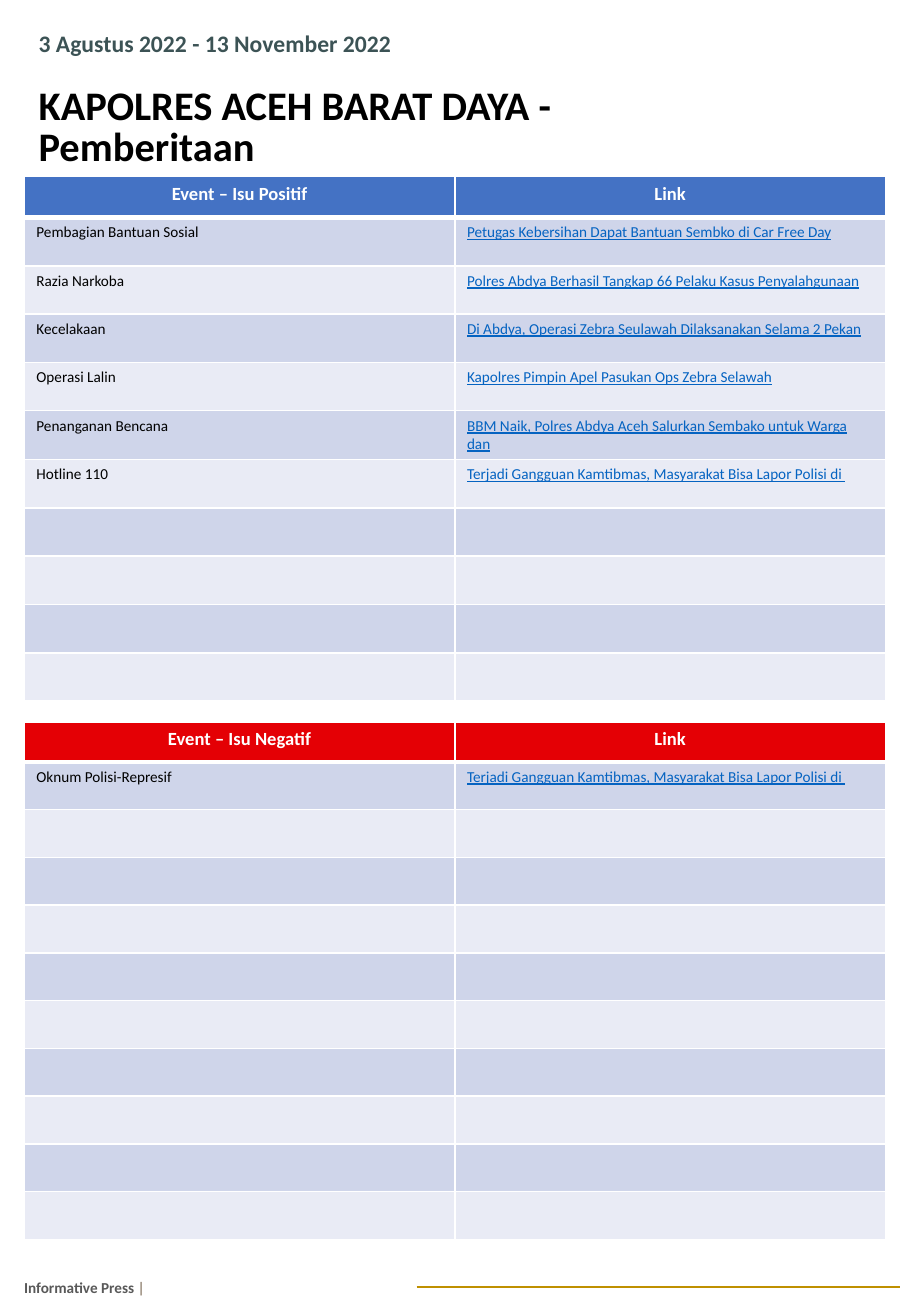
import pptx
import pptx.dml.color
import pptx.enum.shapes
import pptx.enum.text
import pptx.oxml
import pptx.oxml.ns
import pptx.util
from pptx.dml.color import RGBColor
from pptx.util import Inches

FONT = "Calibri"
WHITE = RGBColor(0xFF, 0xFF, 0xFF)
BLACK = RGBColor(0x00, 0x00, 0x00)
DATE_GREEN = RGBColor(0x3C, 0x53, 0x55)
POSITIVE_BLUE = RGBColor(0x44, 0x72, 0xC4)
NEGATIVE_RED = RGBColor(0xE4, 0x00, 0x05)
LINK_BLUE = RGBColor(0x05, 0x63, 0xC1)
BANDS = (RGBColor(0xCF, 0xD5, 0xEA), RGBColor(0xE9, 0xEB, 0xF5))
FOOTER_GRAY = RGBColor(0x59, 0x59, 0x59)
FOOTER_TAN = RGBColor(0x99, 0x8B, 0x7B)
GOLD = RGBColor(0xBF, 0x90, 0x00)

BODY_ROWS = 10
HOTLINE_LINK = "Terjadi Gangguan Kamtibmas, Masyarakat Bisa Lapor Polisi di "
POSITIVE_ISSUES = [
    ("Pembagian Bantuan Sosial", "Petugas Kebersihan Dapat Bantuan Sembko di Car Free Day"),
    ("Razia Narkoba", "Polres Abdya Berhasil Tangkap 66 Pelaku Kasus Penyalahgunaan"),
    ("Kecelakaan", "Di Abdya, Operasi Zebra Seulawah Dilaksanakan Selama 2 Pekan"),
    ("Operasi Lalin", "Kapolres Pimpin Apel Pasukan Ops Zebra Selawah"),
    ("Penanganan Bencana", "BBM Naik, Polres Abdya Aceh Salurkan Sembako untuk Warga dan"),
    ("Hotline 110", HOTLINE_LINK),
]
NEGATIVE_ISSUES = [("Oknum Polisi-Represif", HOTLINE_LINK)]


def add_text(paragraph, text, size=9, color=BLACK, bold=False, underline=None,
             align=None, line_spacing=None):
    """Append a formatted run to a paragraph."""
    run = paragraph.add_run()
    run.text = text
    run.font.name = FONT
    run.font.size = pptx.util.Pt(size)
    run.font.color.rgb = color
    run.font.bold = bold
    run.font.underline = underline
    if align is not None:
        paragraph.alignment = align
    if line_spacing is not None:
        paragraph.line_spacing = line_spacing


def add_text_box(slide, left, top, width, height, anchor=pptx.enum.text.MSO_ANCHOR.TOP):
    """Add a wrapping text box and return its first paragraph."""
    frame = slide.shapes.add_textbox(
        Inches(left), Inches(top), Inches(width), Inches(height)).text_frame
    frame.word_wrap = True
    frame.auto_size = pptx.enum.text.MSO_AUTO_SIZE.SHAPE_TO_FIT_TEXT
    frame.vertical_anchor = anchor
    return frame.paragraphs[0]


def style_cell(cell, fill, top=1, bottom=1):
    """Give a cell white borders, with widths in points, and a fill."""
    properties = cell._tc.get_or_add_tcPr()
    for side, width in (("L", 1), ("R", 1), ("T", top), ("B", bottom)):
        properties.append(pptx.oxml.parse_xml(
            f'<a:ln{side} {pptx.oxml.ns.nsdecls("a")} w="{pptx.util.Pt(width)}">'
            f'<a:solidFill><a:srgbClr val="{WHITE}"/></a:solidFill></a:ln{side}>'))
    cell.fill.solid()
    cell.fill.fore_color.rgb = fill


def add_issue_table(slide, top, height, header_height, heading, header_color, issues):
    """Add a two-column table of issues and links, padded with empty rows."""
    table = slide.shapes.add_table(BODY_ROWS + 1, 2, Inches(0.2), Inches(top),
                                   Inches(7.09), Inches(height)).table
    table.first_row = table.horz_banding = False
    table.rows[0].height = Inches(header_height)
    for cell, label in zip(table.rows[0].cells, (heading, "Link")):
        style_cell(cell, header_color, bottom=3)
        add_text(cell.text_frame.paragraphs[0], label, size=11, color=WHITE,
                 bold=True, align=pptx.enum.text.PP_ALIGN.CENTER)

    padded_issues = issues + [("", "")] * (BODY_ROWS - len(issues))
    for index, issue in enumerate(padded_issues):
        row = table.rows[index + 1]
        row.height = Inches((height - header_height) / BODY_ROWS)
        formats = ({}, {"color": LINK_BLUE, "underline": True})
        for cell, text, text_format in zip(row.cells, issue, formats):
            style_cell(cell, BANDS[index % 2], top=3 if index == 0 else 1)
            paragraph = cell.text_frame.paragraphs[0]
            if text:
                add_text(paragraph, text, **text_format)
            else:
                paragraph._p.get_or_add_endParaRPr().set("sz", "900")


def add_rule(slide, left, right, y):
    """Add a horizontal gold line."""
    rule = slide.shapes.add_connector(
        pptx.enum.shapes.MSO_CONNECTOR.STRAIGHT,
        Inches(left), Inches(y), Inches(right), Inches(y))
    rule.line.color.rgb = GOLD
    rule.line.width = pptx.util.Pt(1.5)
    rule._element.spPr.append(pptx.oxml.parse_xml(
        f'<a:effectLst {pptx.oxml.ns.nsdecls("a")}/>'))


def main():
    """Build the news coverage slide."""
    presentation = pptx.Presentation()
    presentation.slide_width = Inches(7.5)
    presentation.slide_height = Inches(10.83)
    slide = presentation.slides.add_slide(presentation.slide_layouts[6])

    add_text(add_text_box(slide, 0.22, 0.23, 4.13, 0.29),
             "3 Agustus 2022 - 13 November 2022",
             size=14, color=DATE_GREEN, bold=True, line_spacing=0.83)
    add_text(add_text_box(slide, 0.22, 0.68, 5.6, 0.43),
             "KAPOLRES ACEH BARAT DAYA - Pemberitaan",
             size=24, bold=True, line_spacing=0.83)

    add_issue_table(slide, 1.45, 4.32, 0.34, "Event – Isu Positif",
                    POSITIVE_BLUE, POSITIVE_ISSUES)
    add_issue_table(slide, 5.94, 4.26, 0.33, "Event – Isu Negatif",
                    NEGATIVE_RED, NEGATIVE_ISSUES)

    footer = add_text_box(slide, 0.1, 10.47, 4.82, 0.25, pptx.enum.text.MSO_ANCHOR.MIDDLE)
    add_text(footer, "Informative Press ", color=FOOTER_GRAY, bold=True)
    add_text(footer, "|", color=FOOTER_TAN, bold=True)
    add_rule(slide, 3.43, 7.41, 10.59)

    presentation.save("out.pptx")


main()
